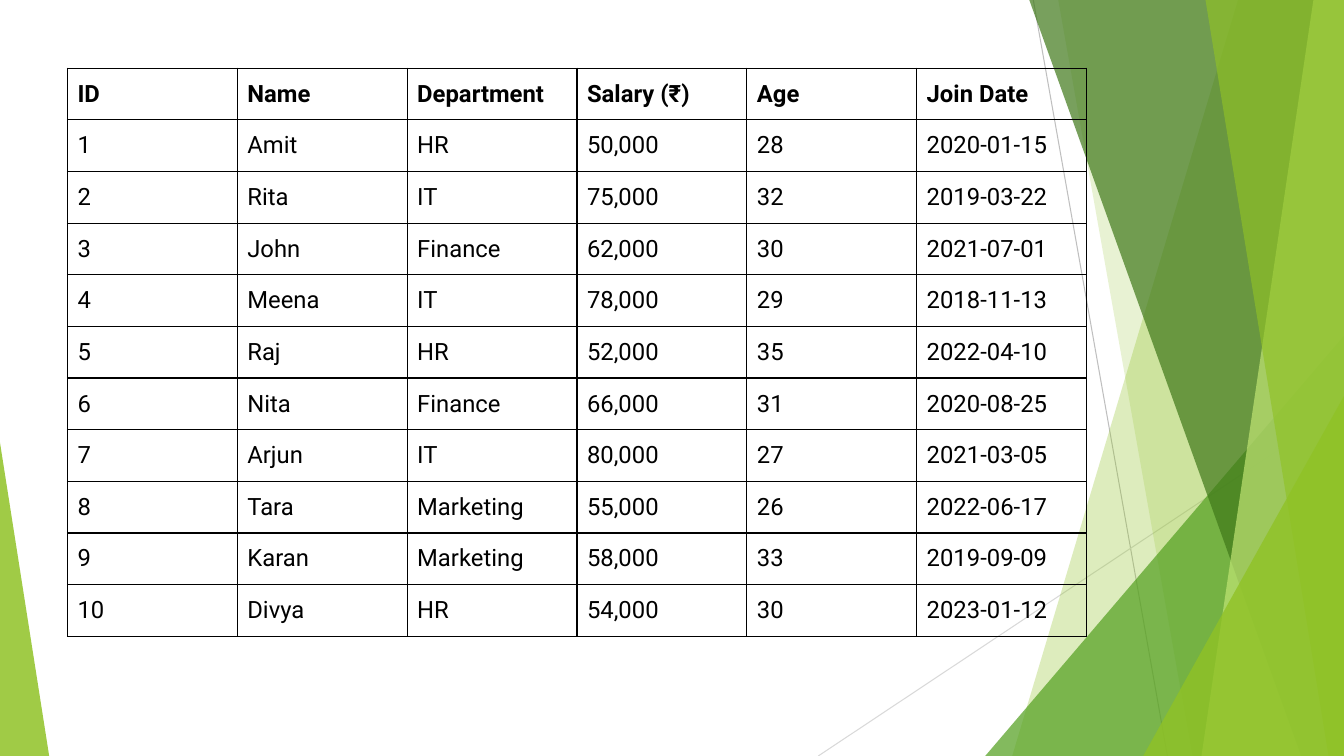
import pptx
import pptx.util
import pptx.dml.color
import pptx.enum.shapes
import pptx.enum.text
import pptx.oxml
import pptx.oxml.ns
import lxml.etree

Cm = pptx.util.Cm
Pt = pptx.util.Pt
qn = pptx.oxml.ns.qn

HUES = {
    "lime": "90C226",
    "leaf": "54A021",
    "moss": "3F7819",
    "pale": "C0E474",
    "gray": "BFBFBF",
    "mist": "D9D9D9",
    "ink": "000000",
}

STAFF = [
    ("ID", "Name", "Department", "Salary (₹)", "Age", "Join Date"),
    ("1", "Amit", "HR", "50,000", "28", "2020-01-15"),
    ("2", "Rita", "IT", "75,000", "32", "2019-03-22"),
    ("3", "John", "Finance", "62,000", "30", "2021-07-01"),
    ("4", "Meena", "IT", "78,000", "29", "2018-11-13"),
    ("5", "Raj", "HR", "52,000", "35", "2022-04-10"),
    ("6", "Nita", "Finance", "66,000", "31", "2020-08-25"),
    ("7", "Arjun", "IT", "80,000", "27", "2021-03-05"),
    ("8", "Tara", "Marketing", "55,000", "26", "2022-06-17"),
    ("9", "Karan", "Marketing", "58,000", "33", "2019-09-09"),
    ("10", "Divya", "HR", "54,000", "30", "2023-01-12"),
]


def color(name):
    return pptx.dml.color.RGBColor.from_string(HUES[name])


def paint(shape, hue, alpha):
    shape.shadow.inherit = False
    shape.line.fill.background()
    shape.fill.solid()
    shape.fill.fore_color.rgb = color(hue)
    tint = shape._element.spPr.find(".//" + qn("a:srgbClr"))
    lxml.etree.SubElement(tint, qn("a:alpha"), val=str(alpha * 1000))


def draw_line(slide, x1, y1, x2, y2, hue):
    kind = pptx.enum.shapes.MSO_CONNECTOR.STRAIGHT
    line = slide.shapes.add_connector(kind, Cm(x1), Cm(y1), Cm(x2), Cm(y2))
    line.line.color.rgb = color(hue)
    line.line.width = Pt(0.75)
    lxml.etree.SubElement(line._element.spPr, qn("a:effectLst"))


def draw_wedge(slide, x, y, w, h, peak, hue, alpha):
    kind = pptx.enum.shapes.MSO_SHAPE.ISOSCELES_TRIANGLE
    wedge = slide.shapes.add_shape(kind, Cm(x), Cm(y), Cm(w), Cm(h))
    wedge.adjustments[0] = peak
    paint(wedge, hue, alpha)


def draw_panel(slide, right, y, h, top, base, hue, alpha):
    pen = slide.shapes.build_freeform(Cm(right - top), Cm(y))
    pen.add_line_segments([
        (Cm(right), Cm(y)),
        (Cm(right), Cm(y + h)),
        (Cm(right - base), Cm(y + h)),
    ], close=True)
    paint(pen.convert_to_shape(), hue, alpha)


def add_facets(slide, x, y, w, h):
    right, foot = x + w, y + h

    def panel(top, base, hue, alpha):
        draw_panel(slide, right, y, h, top, base, hue, alpha)

    def corner(width, height, alpha, hue):
        draw_wedge(slide, right - width, foot - height, width, height, 1, hue, alpha)

    draw_line(slide, right - 7.83, y, right - 4.45, foot, "gray")
    draw_line(slide, right, y + 10.24, x, foot, "mist")
    panel(2.67, 8.36, "lime", 30)
    panel(7.2, 3.82, "lime", 20)
    corner(9.04, 10.59, 72, "leaf")
    panel(7.93, 1.08, "moss", 70)
    panel(0.77, 3.59, "pale", 70)
    panel(3.49, 0.39, "lime", 65)
    corner(5.06, 9.07, 80, "lime")


def add_edge(slide, x, y, w, h):
    draw_wedge(slide, x, y, w, h, 0, "lime", 85)


def add_rules(cell):
    props = cell._tc.get_or_add_tcPr()
    for side in ("lnL", "lnR", "lnT", "lnB"):
        rule = lxml.etree.SubElement(props, qn("a:" + side), w=str(Pt(1)))
        fill = lxml.etree.SubElement(rule, qn("a:solidFill"))
        lxml.etree.SubElement(fill, qn("a:srgbClr"), val=HUES["ink"])


def add_staff(slide, x, y, w, h):
    rows, cols = len(STAFF), len(STAFF[0])
    table = slide.shapes.add_table(rows, cols, Cm(x), Cm(y), Cm(w), Cm(h)).table
    table.horz_banding = False
    table.first_row = False
    for col in table.columns:
        col.width = Cm(w / cols)
    for row in table.rows:
        row.height = Cm(h / rows)
    for r, entry in enumerate(STAFF):
        for c, text in enumerate(entry):
            cell = table.cell(r, c)
            add_rules(cell)
            cell.fill.background()
            cell.vertical_anchor = pptx.enum.text.MSO_ANCHOR.MIDDLE
            cell.text = text
            font = cell.text_frame.paragraphs[0].font
            font.name = "Roboto"
            font.size = Pt(17)
            font.bold = r == 0
            font.color.rgb = color("ink")


def main():
    deck = pptx.Presentation()
    deck.slide_width = Cm(33.87)
    deck.slide_height = Cm(19.05)
    slide = deck.slides.add_slide(deck.slide_layouts[6])
    add_facets(slide, 20.62, 0, 13.25, 19.05)
    add_edge(slide, 0, 11.15, 1.24, 7.9)
    add_staff(slide, 1.7, 1.72, 25.68, 14.32)
    deck.save("out.pptx")


if __name__ == "__main__":
    main()
